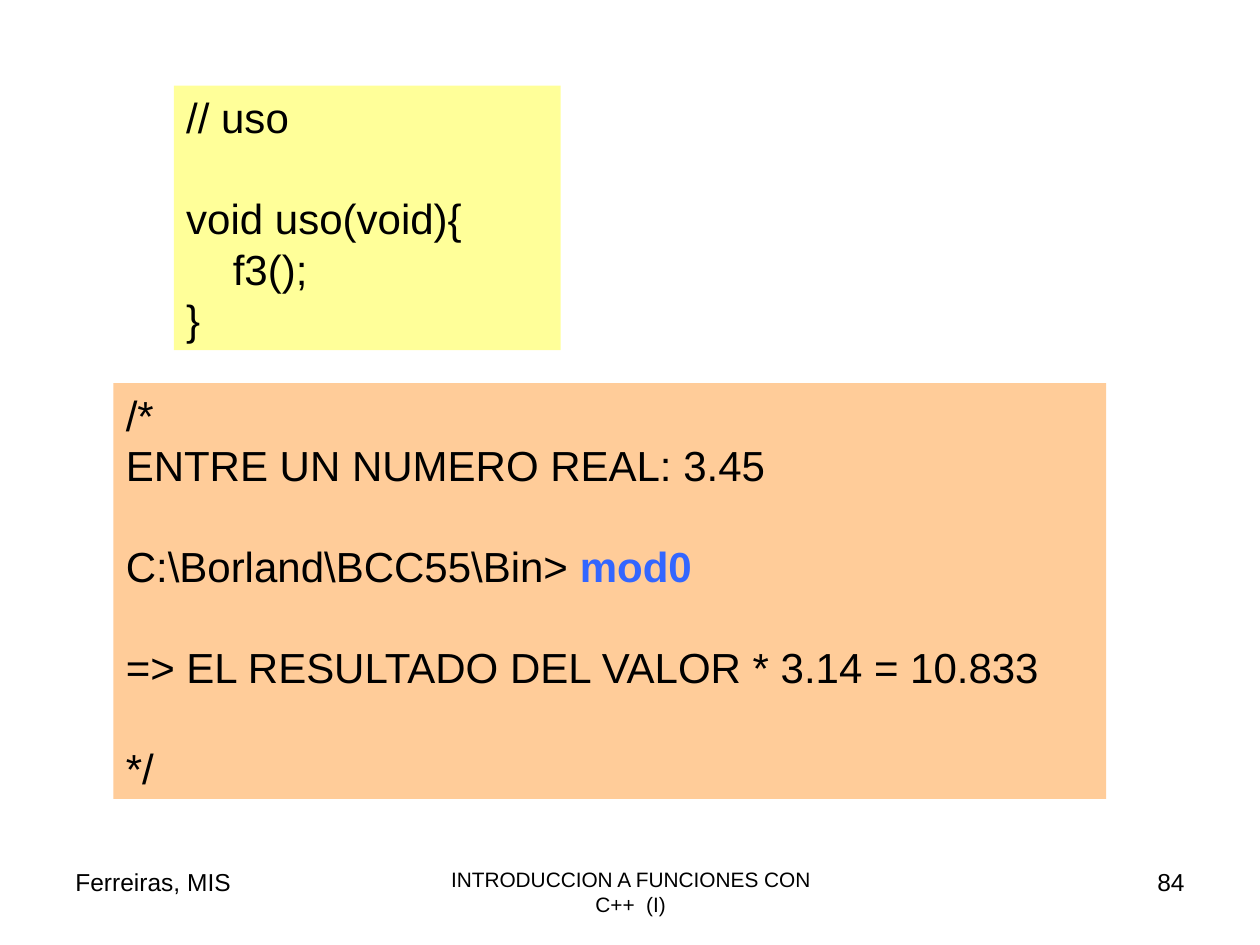
from pptx import Presentation
from pptx import util as u
from pptx.dml.color import RGBColor
from pptx.enum import shapes, text


def color(code):
    return RGBColor.from_string(code)


class Deck:
    font = "Arial"
    ink = "000000"
    accent = "3366FF"
    pitch = 1.2

    def __init__(self):
        self.prs = Presentation()
        self.prs.slide_width = u.Inches(10)
        self.prs.slide_height = u.Inches(7.5)
        self.slide = self.prs.slides.add_slide(self.prs.slide_layouts[6])

    def place(self, box):
        return [u.Inches(side) for side in box]

    def run(self, par, words, size, bold=False):
        run = par.add_run()
        run.text = words
        run.font.name = self.font
        run.font.size = u.Pt(size)
        run.font.bold = bold
        run.font.color.rgb = color(self.accent if bold else self.ink)

    def fill_text(self, shape, blocks, size, align):
        frame = shape.text_frame
        frame.word_wrap = True
        frame.vertical_anchor = text.MSO_ANCHOR.TOP
        par = None
        for block in blocks:
            for row, line in enumerate(block):
                gap = par is not None and row == 0
                par = frame.paragraphs[0] if par is None else frame.add_paragraph()
                par.alignment = align
                par.line_spacing = u.Pt(size * self.pitch)
                par.space_before = u.Pt(size * self.pitch if gap else 0)
                for part, words in enumerate(line):
                    self.run(par, words, size, bold=part == 1)

    def footer(self, box, words, size, align):
        shape = self.slide.shapes.add_textbox(*self.place(box))
        self.fill_text(shape, [[[words]]], size, align)

    def panel(self, box, fill, blocks):
        shape = self.slide.shapes.add_shape(
            shapes.MSO_SHAPE.RECTANGLE, *self.place(box))
        shape.shadow.inherit = False
        shape.fill.solid()
        shape.fill.fore_color.rgb = color(fill)
        shape.line.fill.background()
        self.fill_text(shape, blocks, 24, text.PP_ALIGN.LEFT)


def main():
    deck = Deck()
    side = text.PP_ALIGN
    deck.footer((0.5, 6.83, 2.33, 0.52), "Ferreiras, MIS", 14, side.LEFT)
    deck.footer((3.42, 6.83, 3.17, 0.52),
                "INTRODUCCION A FUNCIONES CON C++  (I)", 11.9, side.CENTER)
    deck.footer((7.17, 6.83, 2.33, 0.52), "84", 14, side.RIGHT)
    deck.panel((1.38, 0.68, 3.07, 2.1), "FFFF99", [
        [["// uso"]],
        [["void uso(void){"], ["    f3();"], ["}"]],
    ])
    deck.panel((0.9, 3.04, 7.88, 3.3), "FFCC99", [
        [["/*"], ["ENTRE UN NUMERO REAL: 3.45"]],
        [["C:\\Borland\\BCC55\\Bin> ", "mod0"]],
        [["=> EL RESULTADO DEL VALOR * 3.14 = 10.833"]],
        [["*/"]],
    ])
    deck.prs.save("out.pptx")


if __name__ == "__main__":
    main()
